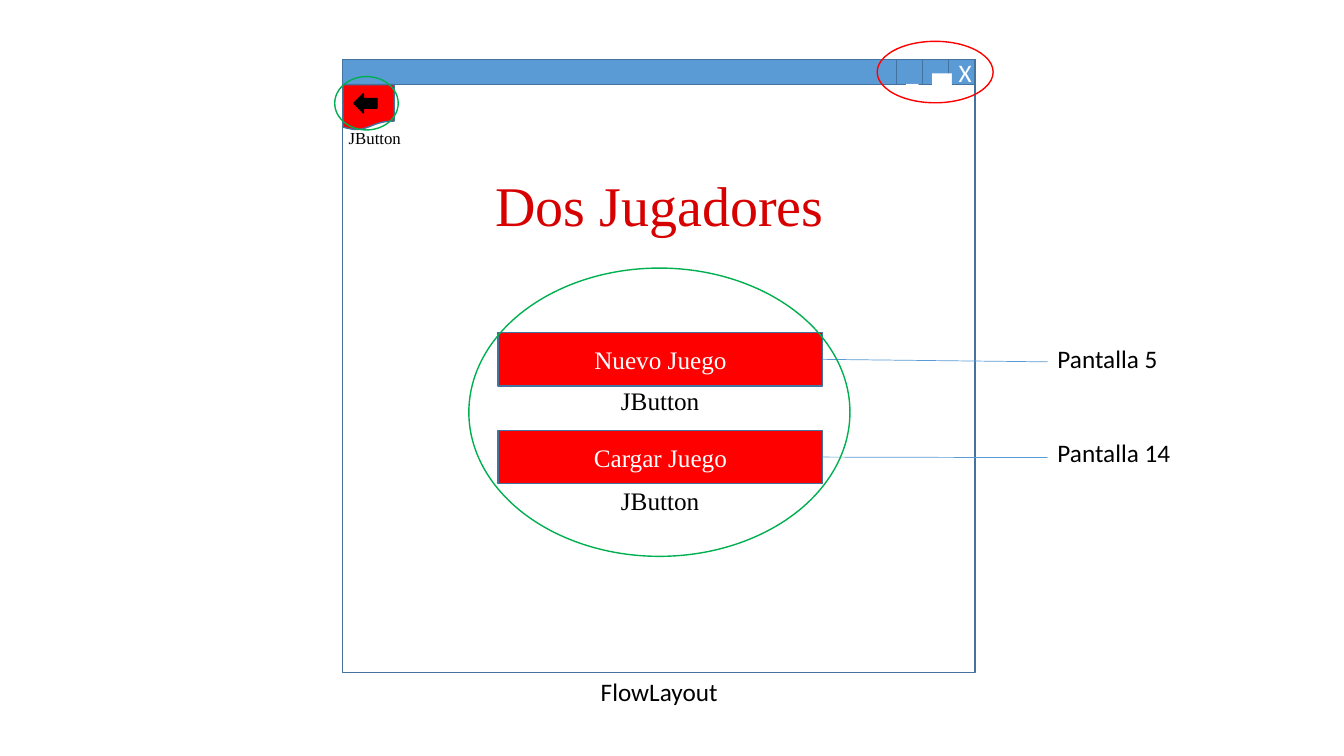
"""Build the wireframe slide of the two-player screen."""
from lxml import etree
from pptx import Presentation
from pptx.dml.color import RGBColor
from pptx.enum.shapes import MSO_CONNECTOR, MSO_SHAPE
from pptx.enum.text import MSO_ANCHOR, MSO_AUTO_SIZE, PP_ALIGN
from pptx.oxml.ns import qn
from pptx.util import Inches, Pt

RECTANGLE = MSO_SHAPE.RECTANGLE
ELLIPSE = MSO_SHAPE.OVAL
DOCUMENT = MSO_SHAPE.FLOWCHART_DOCUMENT
LEFT_ARROW = MSO_SHAPE.LEFT_ARROW
STRAIGHT = MSO_CONNECTOR.STRAIGHT
CENTER, LEFT = PP_ALIGN.CENTER, PP_ALIGN.LEFT
MIDDLE = MSO_ANCHOR.MIDDLE
GROW = MSO_AUTO_SIZE.SHAPE_TO_FIT_TEXT

COLUMNS, ROWS = 133.3, 75
CELL = Inches(0.1)
SERIF, SANS = "Times New Roman", "Calibri"
RED, GREEN, BLUE, EDGE = "FF0000", "00B050", "5B9BD5", "43739E"
WHITE, BLACK, TITLE_RED = "FFFFFF", "000000", "D70000"

WINDOW_LEFT, WINDOW_TOP, WINDOW_WIDTH, WINDOW_HEIGHT = 34, 8.4, 62.7, 58.3
BAR_HEIGHT, CONTROL_WIDTH = 2.5, 2.6
BUTTON_LEFT, BUTTON_TOP, BUTTON_WIDTH, BUTTON_HEIGHT = 49.4, 33, 32.2, 5.3
BUTTON_STEP = 9.7
LABEL_HEIGHT, TARGET_LEFT = 4, 103.9


def cells(*counts):
    """Turn counts of grid cells into lengths."""
    return [int(count * CELL) for count in counts]


def color(hex_code):
    """Return the colour of a hex string."""
    return RGBColor.from_string(hex_code)


def write(frame, text, size, font, hex_code, align):
    """Put one run of formatted text into a frame."""
    para = frame.paragraphs[0]
    para.alignment = align
    run = para.add_run()
    run.text = text
    run.font.size = Pt(size)
    run.font.name = font
    run.font.color.rgb = color(hex_code)


def add_box(page, kind, place, fill=None, edge=EDGE, text=None, font=SANS):
    """Draw a preset shape, with centred white text if given."""
    box = page.shapes.add_shape(kind, *cells(*place))
    box.shadow.inherit = False
    if fill:
        box.fill.solid()
        box.fill.fore_color.rgb = color(fill)
    else:
        box.fill.background()
    box.line.color.rgb = color(edge)
    box.line.width = Pt(1)
    if text:
        box.text_frame.vertical_anchor = MIDDLE
        write(box.text_frame, text, 18, font, WHITE, CENTER)


def add_label(page, place, text, font=SANS, size=18, hex_code=BLACK,
              align=LEFT, wrap=False):
    """Draw a text box that fits its text."""
    frame = page.shapes.add_textbox(*cells(*place)).text_frame
    frame.word_wrap = wrap
    frame.auto_size = GROW
    write(frame, text, size, font, hex_code, align)


def add_link(page, *ends):
    """Draw a thin line from a button to its target."""
    link = page.shapes.add_connector(STRAIGHT, *cells(*ends))
    link.line.color.rgb = color(BLUE)
    link.line.width = Pt(0.5)
    etree.SubElement(link._element.spPr, qn("a:effectLst"))


def add_window(page):
    """Draw the window, its title bar and its controls."""
    add_box(page, RECTANGLE,
            (WINDOW_LEFT, WINDOW_TOP, WINDOW_WIDTH, WINDOW_HEIGHT), WHITE)
    bar_top = WINDOW_TOP - BAR_HEIGHT
    add_box(page, RECTANGLE,
            (WINDOW_LEFT, bar_top, WINDOW_WIDTH, BAR_HEIGHT), BLUE)
    right = WINDOW_LEFT + WINDOW_WIDTH
    for number, sign in enumerate("X▄_", start=1):
        add_box(page, RECTANGLE, (right - number * CONTROL_WIDTH, bar_top,
                                  CONTROL_WIDTH, BAR_HEIGHT), BLUE, text=sign)


def add_back_button(page):
    """Draw the back button with its arrow and label."""
    add_box(page, DOCUMENT, (WINDOW_LEFT, WINDOW_TOP, 5.1, 4.5), RED)
    add_box(page, LEFT_ARROW, (35.1, 9.3, 2.3, 1.9), BLACK, BLACK)
    add_label(page, (33.6, 12.2, 7.2, 3), "JButton", SERIF, 12)


def add_menu(page):
    """Draw each menu button with its label, link and target."""
    entries = (("Nuevo Juego", 37.7, "Pantalla 5", 12, 33.6, 35.9),
               ("Cargar Juego", 47.7, "Pantalla 14", 13.3, 42.9, 45.4))
    for row, entry in enumerate(entries):
        caption, label_top, target, target_width, target_top, link_end = entry
        top = BUTTON_TOP + row * BUTTON_STEP
        add_box(page, RECTANGLE,
                (BUTTON_LEFT, top, BUTTON_WIDTH, BUTTON_HEIGHT),
                RED, text=caption, font=SERIF)
        add_label(page, (60.6, label_top, 9.8, LABEL_HEIGHT), "JButton", SERIF)
        add_link(page, BUTTON_LEFT + BUTTON_WIDTH, top + BUTTON_HEIGHT / 2,
                 TARGET_LEFT, link_end)
        add_label(page, (TARGET_LEFT, target_top, target_width, LABEL_HEIGHT),
                  target)


def main():
    """Build and save the deck."""
    deck = Presentation()
    deck.slide_width, deck.slide_height = cells(COLUMNS, ROWS)
    page = deck.slides.add_slide(deck.slide_layouts[6])
    add_window(page)
    add_back_button(page)
    add_label(page, (36, 16.4, 58.8, 7.7), "Dos Jugadores", SERIF, 40,
              TITLE_RED, CENTER, True)
    add_menu(page)
    add_label(page, (58.6, 66.6, 13.7, LABEL_HEIGHT), "FlowLayout")
    for place, edge in (((87, 4.1, 11.5, 6.1), RED),
                        ((46.5, 26.6, 37.8, 28.6), GREEN),
                        ((33.2, 7.6, 6.3, 5.3), GREEN)):
        add_box(page, ELLIPSE, place, edge=edge)
    deck.save("out.pptx")


if __name__ == "__main__":
    main()
